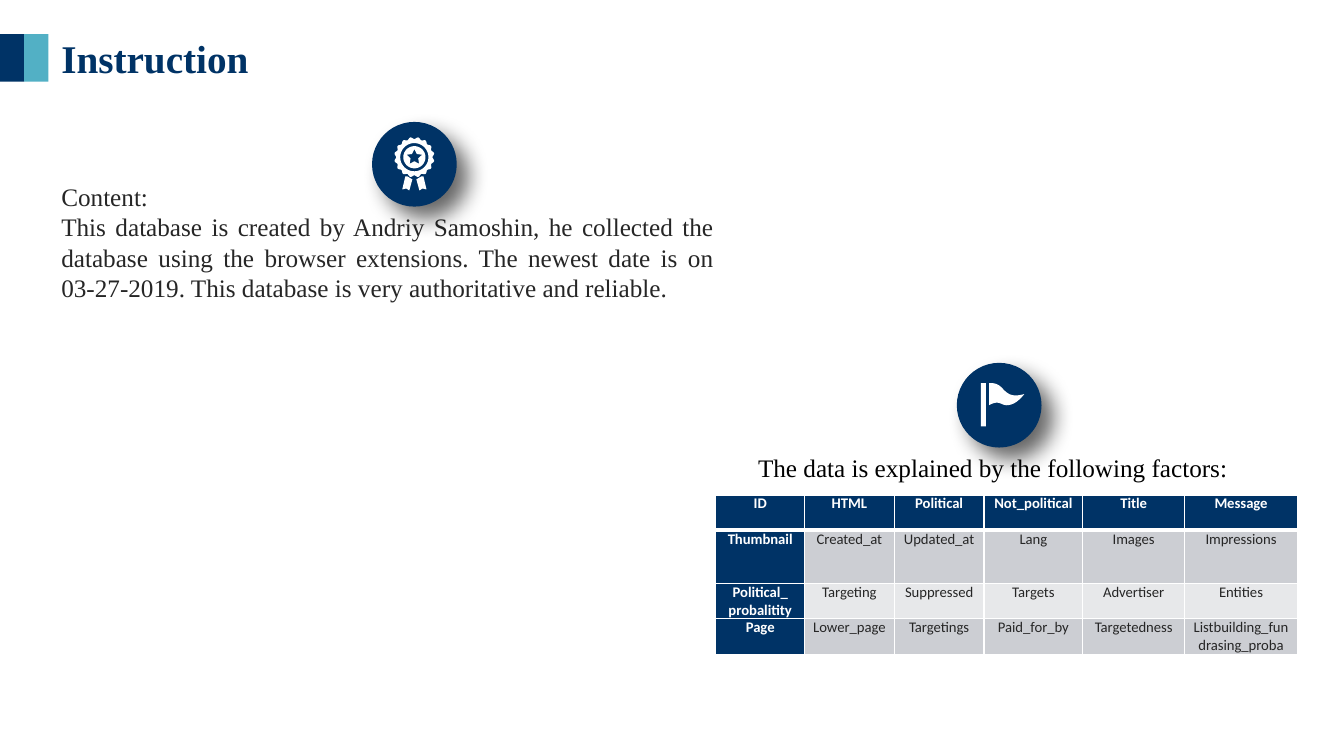
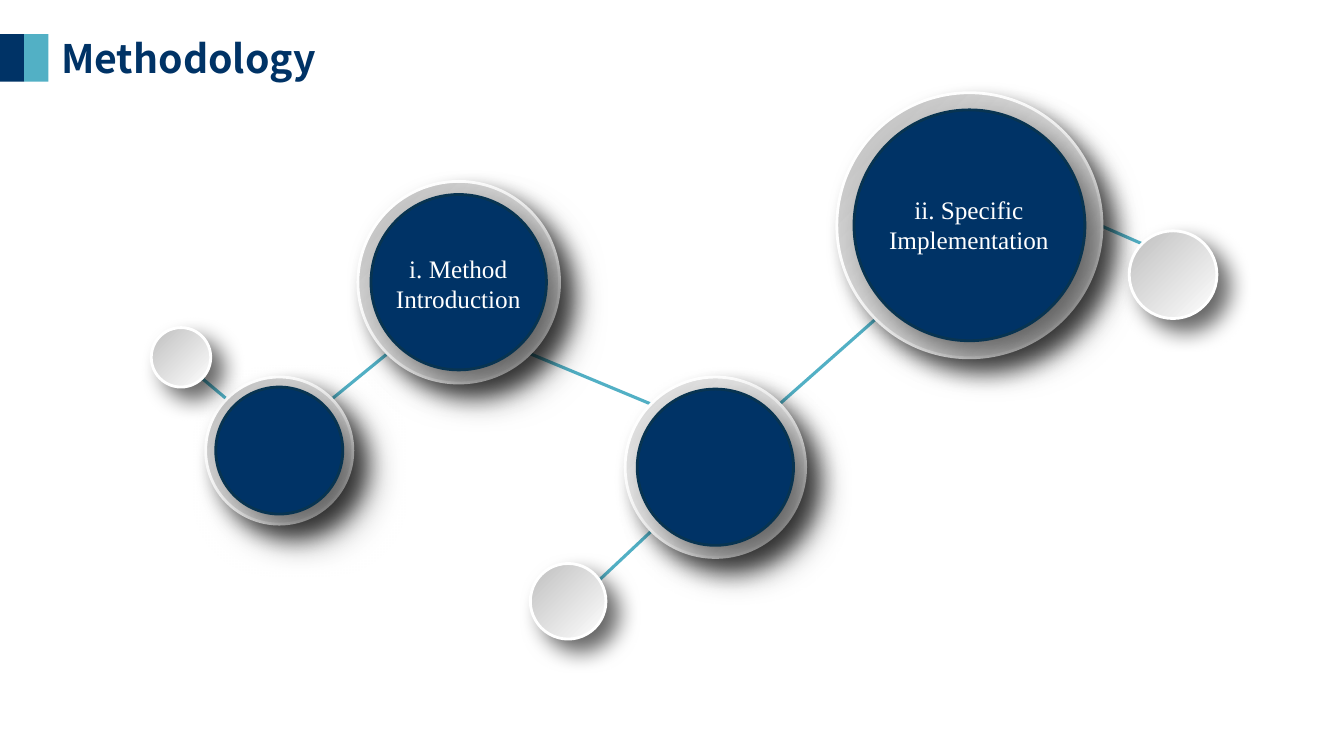
import copy
import math

import pptx
import pptx.dml.color
import pptx.enum.shapes
import pptx.enum.text
import pptx.oxml
import pptx.oxml.ns
import pptx.util

Inches = pptx.util.Inches
Pt = pptx.util.Pt
SHAPE = pptx.enum.shapes.MSO_SHAPE
ALIGN = pptx.enum.text.PP_ALIGN

NAVY = "003366"
TEAL = "52B0C5"
WHITE = "FFFFFF"
BLACK = "000000"
INK = "262626"
SILVER = "BFBFBF"
BODY_BANDS = ("CCCED3", "E7E8EA")
SERIF = "Times New Roman"
DRAWING_NS = pptx.oxml.ns.nsdecls("a")


def rgb(value):
    return pptx.dml.color.RGBColor.from_string(value)


# Text
def style_paragraphs(frame, font, size, color, align=ALIGN.LEFT, bold=False):
    for paragraph in frame.paragraphs:
        paragraph.alignment = align
        paragraph.font.name = font
        paragraph.font.size = Pt(size)
        paragraph.font.bold = bold
        paragraph.font.color.rgb = rgb(color)


def add_text(slide, box, text, color, font=SERIF, size=18,
             align=ALIGN.LEFT, bold=False, wrap=True):
    frame = slide.shapes.add_textbox(*map(Inches, box)).text_frame
    frame.word_wrap = wrap
    frame.auto_size = pptx.enum.text.MSO_AUTO_SIZE.SHAPE_TO_FIT_TEXT
    frame.text = text
    style_paragraphs(frame, font, size, color, align, bold)


# Shapes
def add_plain_shape(shapes, preset, box, fill):
    shape = shapes.add_shape(preset, *map(Inches, box))
    shape.fill.solid()
    shape.fill.fore_color.rgb = rgb(fill)
    shape.line.fill.background()
    shape.shadow.inherit = False
    return shape


def add_shadow(shape, blur, distance):
    effects = shape.element.spPr.find(pptx.oxml.ns.qn("a:effectLst"))
    effects.append(pptx.oxml.parse_xml(
        f'<a:outerShdw {DRAWING_NS} blurRad="{Pt(blur)}" dist="{Pt(distance)}" '
        'dir="2700000" algn="tl" rotWithShape="0">'
        f'<a:srgbClr val="{BLACK}"><a:alpha val="60000"/></a:srgbClr>'
        '</a:outerShdw>'))


def set_stops(fill, *colors):
    for stop, color in zip(fill.gradient_stops, colors):
        stop.color.rgb = rgb(color)


def set_gradients(shape, fill_colors, line_colors):
    """Give fill and outline gradients that run in the same direction."""
    shape.fill.gradient()
    shape.fill.gradient_angle = 135
    set_stops(shape.fill, *fill_colors)

    # A new outline gradient is empty, so it takes the parts of the fill's
    line_fill = shape.line.fill
    line_fill.gradient()
    tag = pptx.oxml.ns.qn("a:gradFill")
    properties = shape.element.spPr
    outline = properties.find(pptx.oxml.ns.qn("a:ln")).find(tag)
    outline.extend(copy.deepcopy(list(properties.find(tag))))
    set_stops(line_fill, *line_colors)


def add_outline(shapes, contours, fill):
    """Draw closed contours as one shape; inner contours become holes."""
    contours = [[(Inches(x), Inches(y)) for x, y in points]
                for points in contours]
    builder = shapes.build_freeform(*contours[0][0])
    for index, points in enumerate(contours):
        if index:
            builder.move_to(*points[0])
        builder.add_line_segments(points[1:], close=True)
    shape = builder.convert_to_shape()
    shape.fill.solid()
    shape.fill.fore_color.rgb = rgb(fill)
    shape.line.fill.background()
    shape.shadow.inherit = False


def add_link(slide, start, end):
    line = slide.shapes.add_connector(
        pptx.enum.shapes.MSO_CONNECTOR.STRAIGHT,
        *map(Inches, start + end))
    line.line.color.rgb = rgb(TEAL)
    line.line.width = Pt(2.25)
    line.element.spPr.append(
        pptx.oxml.parse_xml(f"<a:effectLst {DRAWING_NS}/>"))


def add_header(slide, title, width, font):
    add_text(slide, (0.51, 0.29, width, 0.57), title, NAVY, font, 28, bold=True)
    for index, color in enumerate((NAVY, TEAL)):
        add_plain_shape(slide.shapes, SHAPE.RECTANGLE,
                        (0.24 * index, 0.34, 0.24, 0.47), color)


# Icons
def polar_ring(center, radius_at, steps):
    """Points around a center, clockwise from the top."""
    angles = [2 * math.pi * step / steps for step in range(steps)]
    return [(center[0] + radius_at(step, angle) * math.sin(angle),
             center[1] - radius_at(step, angle) * math.cos(angle))
            for step, angle in enumerate(angles)]


def bezier(start, first, second, end, steps=12):
    points = []
    for step in range(steps + 1):
        t = step / steps
        weights = ((1 - t) ** 3, 3 * t * (1 - t) ** 2, 3 * t * t * (1 - t), t ** 3)
        points.append(tuple(
            sum(weight * point[axis] for weight, point
                in zip(weights, (start, first, second, end)))
            for axis in (0, 1)))
    return points


def add_icon_disc(slide, left, top):
    group = slide.shapes.add_group_shape()
    disc = add_plain_shape(group.shapes, SHAPE.OVAL,
                           (left, top, 0.84, 0.84), NAVY)
    add_shadow(disc, 16, 12)
    return group.shapes


def add_badge_icon(slide):
    shapes = add_icon_disc(slide, 3.69, 1.21)
    center = (4.11, 1.56)
    ribbon = [(4.20, 1.75), (4.23, 1.88), (4.19, 1.87),
              (4.16, 1.89), (4.13, 1.78), (4.18, 1.75)]
    mirrored = [(2 * center[0] - x, y) for x, y in ribbon]
    add_outline(shapes, [ribbon, mirrored], WHITE)

    scallops = polar_ring(
        center, lambda step, angle: 0.19 - 0.01 * math.cos(16 * angle), 128)
    hole = polar_ring(center, lambda step, angle: 0.14, 64)
    add_outline(shapes, [scallops, hole], WHITE)

    face = polar_ring(center, lambda step, angle: 0.11, 64)
    star = polar_ring(center, lambda step, angle: (0.08, 0.04)[step % 2], 10)
    add_outline(shapes, [face, star], WHITE)


def add_flag_icon(slide):
    shapes = add_icon_disc(slide, 9.49, 3.6)
    pole = [(9.73, 3.8), (9.78, 3.8), (9.78, 4.23), (9.73, 4.23)]
    cloth = (bezier((9.94, 3.85), (9.9, 3.81), (9.87, 3.8), (9.81, 3.8))
             + bezier((9.81, 4.02), (9.92, 3.96), (9.93, 4.03), (10, 4.02))
             + bezier((10, 4.02), (10.07, 4.01), (10.12, 3.96), (10.16, 3.91))
             + bezier((10.16, 3.91), (10.05, 3.94), (10, 3.92), (9.94, 3.85)))
    add_outline(shapes, [pole, cloth], WHITE)


# Table
def set_borders(cell, bottom):
    properties = cell._tc.get_or_add_tcPr()
    widths = {"lnL": 1, "lnR": 1, "lnT": 1, "lnB": bottom}
    for index, (side, width) in enumerate(widths.items()):
        properties.insert(index, pptx.oxml.parse_xml(
            f'<a:{side} {DRAWING_NS} w="{Pt(width)}"><a:solidFill>'
            f'<a:srgbClr val="{WHITE}"/></a:solidFill></a:{side}>'))


def add_factor_table(slide, left, top, widths, heights, rows):
    table = slide.shapes.add_table(
        len(rows), len(widths), Inches(left), Inches(top),
        Inches(sum(widths)), Inches(sum(heights))).table
    for column, width in zip(table.columns, widths):
        column.width = Inches(width)
    for row_index, (row, height) in enumerate(zip(rows, heights)):
        table.rows[row_index].height = Inches(height)
        for column_index, text in enumerate(row):
            cell = table.cell(row_index, column_index)
            is_heading = row_index == 0 or column_index == 0
            cell.margin_left = cell.margin_right = Inches(0.07)
            cell.margin_top = cell.margin_bottom = 0
            cell.text = text
            style_paragraphs(cell.text_frame, "Calibri", 10.5,
                             WHITE if is_heading else INK,
                             ALIGN.CENTER, is_heading)
            cell.fill.solid()
            cell.fill.fore_color.rgb = rgb(
                NAVY if is_heading else BODY_BANDS[(row_index - 1) % 2])
            set_borders(cell, 3 if row_index == 0 else 1)


# Network nodes
def add_ball(slide, left, top, diameter, shade=SILVER):
    ball = add_plain_shape(slide.shapes, SHAPE.OVAL,
                           (left, top, diameter, diameter), WHITE)
    set_gradients(ball, (WHITE, shade), (WHITE, "B3B3B3"))
    ball.line.width = Pt(2)
    add_shadow(ball, 16, 12)


def add_node(slide, left, top, diameter, rim, shade=SILVER):
    add_ball(slide, left, top, diameter, shade)
    inner = diameter - 2 * rim
    core = add_plain_shape(slide.shapes, SHAPE.OVAL,
                           (left + rim, top + rim, inner, inner), NAVY)
    core.line.color.rgb = rgb("083451")
    core.line.width = Pt(2)
    add_shadow(core, 30, 20)


# Slides
def build_instruction(slide):
    add_header(slide, "Instruction", 3.6, SERIF)
    add_text(slide, (7.42, 4.44, 4.97, 0.4),
             "The data is explained by the following factors:", BLACK, wrap=False)
    add_factor_table(
        slide, 7.1, 4.91,
        widths=(0.88, 0.89, 0.89, 0.98, 1.01, 1.12),
        heights=(0.35, 0.53, 0.35, 0.35),
        rows=(
            ("ID", "HTML", "Political", "Not_political", "Title", "Message"),
            ("Thumbnail", "Created_at", "Updated_at", "Lang", "Images",
             "Impressions"),
            ("Political_\nprobalitity", "Targeting", "Suppressed", "Targets",
             "Advertiser", "Entities"),
            ("Page", "Lower_page", "Targetings", "Paid_for_by", "Targetedness",
             "Listbuilding_fundrasing_proba"),
        ))
    add_text(slide, (0.51, 1.75, 6.67, 1.31),
             "Content:\n"
             "This database is created by Andriy Samoshin, he collected the "
             "database using the browser extensions. The newest date is on "
             "03-27-2019. This database is very authoritative and reliable.",
             INK, align=ALIGN.JUSTIFY)
    add_badge_icon(slide)
    add_flag_icon(slide)


def build_methodology(slide):
    links = (
        ((7.73, 4.01), (8.68, 3.17)),
        ((10.92, 2.24), (11.33, 2.42)),
        ((5.81, 5.88), (6.46, 5.27)),
        ((3.29, 3.96), (3.84, 3.51)),
        ((5.26, 3.51), (6.46, 4.01)),
        ((2, 3.75), (2.25, 3.96)),
    )
    for start, end in links:
        add_link(slide, start, end)
    add_header(slide, "Methodology", 5.22, "Noto Sans CJK SC")

    add_node(slide, 2.04, 3.74, 1.46, 0.1)
    add_node(slide, 3.55, 1.8, 2, 0.13)
    add_node(slide, 6.2, 3.74, 1.79, 0.12, "D9D9D9")
    add_node(slide, 8.3, 0.92, 2.63, 0.17)
    for ball in ((5.26, 5.59, 0.75), (11.2, 2.29, 0.87), (1.5, 3.25, 0.59)):
        add_ball(slide, *ball)

    add_text(slide, (3.76, 2.46, 1.57, 0.71), "i. Method Introduction",
             WHITE, align=ALIGN.CENTER)
    add_text(slide, (8.71, 1.88, 1.8, 0.71), "ii. Specific\nImplementation",
             WHITE, align=ALIGN.CENTER, wrap=False)


def main():
    presentation = pptx.Presentation()
    presentation.slide_width = Inches(13.33)
    presentation.slide_height = Inches(7.5)
    blank_layout = presentation.slide_layouts[6]
    for build in (build_instruction, build_methodology):
        build(presentation.slides.add_slide(blank_layout))
    presentation.save("out.pptx")


if __name__ == "__main__":
    main()
